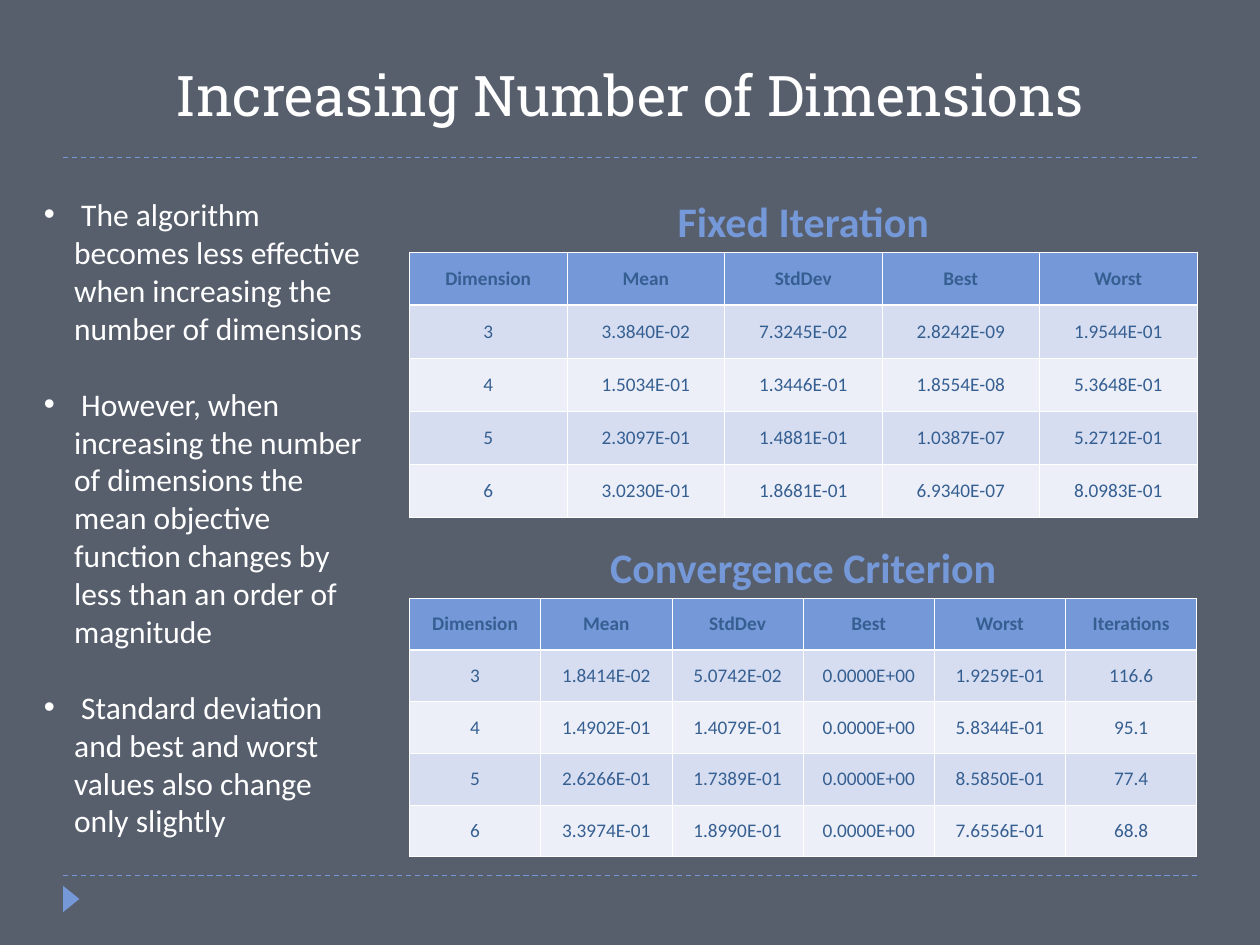
from lxml import etree
from pptx import Presentation, util as u
from pptx.dml.color import RGBColor
from pptx.enum import dml, shapes, text
from pptx.oxml import ns

# Content
TITLE = "Increasing Number of Dimensions"
POINTS = [
    " The algorithm becomes less effective when increasing the number of dimensions",
    " However, when increasing the number of dimensions the mean objective function "
    "changes by less than an order of magnitude",
    " Standard deviation and best and worst values also change only slightly",
]
TABLES = [
    {"heading": "Fixed Iteration", "top": 2, "height": 2.11, "rows": [
        ("Dimension", "Mean", "StdDev", "Best", "Worst"),
        ("3", "3.3840E-02", "7.3245E-02", "2.8242E-09", "1.9544E-01"),
        ("4", "1.5034E-01", "1.3446E-01", "1.8554E-08", "5.3648E-01"),
        ("5", "2.3097E-01", "1.4881E-01", "1.0387E-07", "5.2712E-01"),
        ("6", "3.0230E-01", "1.8681E-01", "6.9340E-07", "8.0983E-01"),
    ]},
    {"heading": "Convergence Criterion", "top": 4.75, "height": 2.05, "rows": [
        ("Dimension", "Mean", "StdDev", "Best", "Worst", "Iterations"),
        ("3", "1.8414E-02", "5.0742E-02", "0.0000E+00", "1.9259E-01", "116.6"),
        ("4", "1.4902E-01", "1.4079E-01", "0.0000E+00", "5.8344E-01", "95.1"),
        ("5", "2.6266E-01", "1.7389E-01", "0.0000E+00", "8.5850E-01", "77.4"),
        ("6", "3.3974E-01", "1.8990E-01", "0.0000E+00", "7.6556E-01", "68.8"),
    ]},
]

# Look and layout
WHITE, BLUE, NAVY, SLATE = "FFFFFF", "7598D9", "365F91", "575F6D"
BANDS = ("D6DDF1", "ECEFF8")
TABLE_LEFT, TABLE_WIDTH, HEADING_HEIGHT = 3.25, 6.25, 0.5
RULE_LEFT, RULE_RIGHT, RULE_TOPS = 0.5, 9.5, (1.25, 6.95)
BULLET_INDENT = 0.24
THIN, THICK = 0.45, 1.47
CENTER = text.PP_ALIGN.CENTER
MIDDLE, BOTTOM = text.MSO_ANCHOR.MIDDLE, text.MSO_ANCHOR.BOTTOM


def color(value):
    return RGBColor.from_string(value)


def inches(*values):
    return [u.Inches(value) for value in values]


def write(para, words, hue, **formats):
    span = para.add_run()
    span.text = words
    span.font.color.rgb = color(hue)
    for name, value in formats.items():
        setattr(span.font, name, value)


def add_box(page, place, anchor=text.MSO_ANCHOR.TOP):
    frame = page.shapes.add_textbox(*inches(*place)).text_frame
    frame.word_wrap = True
    frame.vertical_anchor = anchor
    return frame


def add_centered(page, place, anchor, words, hue, **formats):
    para = add_box(page, place, anchor).paragraphs[0]
    para.alignment = CENTER
    write(para, words, hue, **formats)


def add_bullet(para):
    props = para._p.get_or_add_pPr()
    props.set("marL", str(u.Inches(BULLET_INDENT)))
    props.set("indent", str(-u.Inches(BULLET_INDENT)))
    tint = etree.SubElement(props, ns.qn("a:buClr"))
    etree.SubElement(tint, ns.qn("a:srgbClr"), val=WHITE)
    etree.SubElement(props, ns.qn("a:buFont"), typeface="Arial")
    etree.SubElement(props, ns.qn("a:buChar"), char="•")


def add_borders(cell, widths):
    props = cell._tc.get_or_add_tcPr()
    for side, width in widths.items():
        line = etree.SubElement(props, ns.qn(f"a:ln{side}"), w=str(u.Pt(width)))
        fill = etree.SubElement(line, ns.qn("a:solidFill"))
        etree.SubElement(fill, ns.qn("a:srgbClr"), val=WHITE)


def fill_cell(cell, words, row):
    header = row == 0
    add_borders(cell, {"L": THIN, "R": THIN,
                       "T": THICK if row == 1 else THIN,
                       "B": THICK if header else THIN})
    cell.fill.solid()
    cell.fill.fore_color.rgb = color(BLUE if header else BANDS[(row - 1) % 2])
    cell.vertical_anchor = MIDDLE
    cell.margin_left = cell.margin_right = u.Inches(0.01)
    para = cell.text_frame.paragraphs[0]
    para.alignment = CENTER
    write(para, words, NAVY, size=u.Pt(11), name="Calibri", bold=header)


def add_results(page, heading, top, height, rows):
    add_centered(page, (TABLE_LEFT, top - HEADING_HEIGHT, TABLE_WIDTH, HEADING_HEIGHT),
                 BOTTOM, heading, BLUE, size=u.Pt(24), name="Calibri", bold=True)
    place = inches(TABLE_LEFT, top, TABLE_WIDTH, height)
    table = page.shapes.add_table(len(rows), len(rows[0]), *place).table
    for row, values in enumerate(rows):
        for column, words in enumerate(values):
            fill_cell(table.cell(row, column), words, row)


def add_rule(page, top):
    rule = page.shapes.add_connector(
        shapes.MSO_CONNECTOR.STRAIGHT, *inches(RULE_LEFT, top, RULE_RIGHT, top))
    rule.line.color.rgb = color(BLUE)
    rule.line.width = u.Pt(0.75)
    rule.line.dash_style = dml.MSO_LINE.DASH
    etree.SubElement(rule._element.spPr, ns.qn("a:effectLst"))


def main():
    deck = Presentation()
    deck.slide_width, deck.slide_height = inches(10, 7.5)
    page = deck.slides.add_slide(deck.slide_layouts[6])
    page.background.fill.solid()
    page.background.fill.fore_color.rgb = color(SLATE)

    # Rules and corner marker
    for top in RULE_TOPS:
        add_rule(page, top)
    marker = page.shapes.add_shape(
        shapes.MSO_SHAPE.ISOSCELES_TRIANGLE, *inches(0.46, 7.07, 0.21, 0.13))
    marker.rotation = 90
    marker.shadow.inherit = False
    marker.fill.solid()
    marker.fill.fore_color.rgb = color(BLUE)
    marker.line.fill.background()

    # Title, headings and tables
    add_centered(page, (0.5, 0.25, 9, 1), MIDDLE, TITLE, WHITE,
                 size=u.Pt(32), name="Roboto Slab")
    for results in TABLES:
        add_results(page, **results)

    # Findings
    frame = add_box(page, (0.25, 1.5, 2.75, 6))
    for number, point in enumerate(POINTS):
        para = frame.add_paragraph() if number else frame.paragraphs[0]
        add_bullet(para)
        if number:
            para.space_before = u.Pt(22)
        write(para, point, WHITE, size=u.Pt(18), name="Calibri")

    deck.save("out.pptx")


if __name__ == "__main__":
    main()
